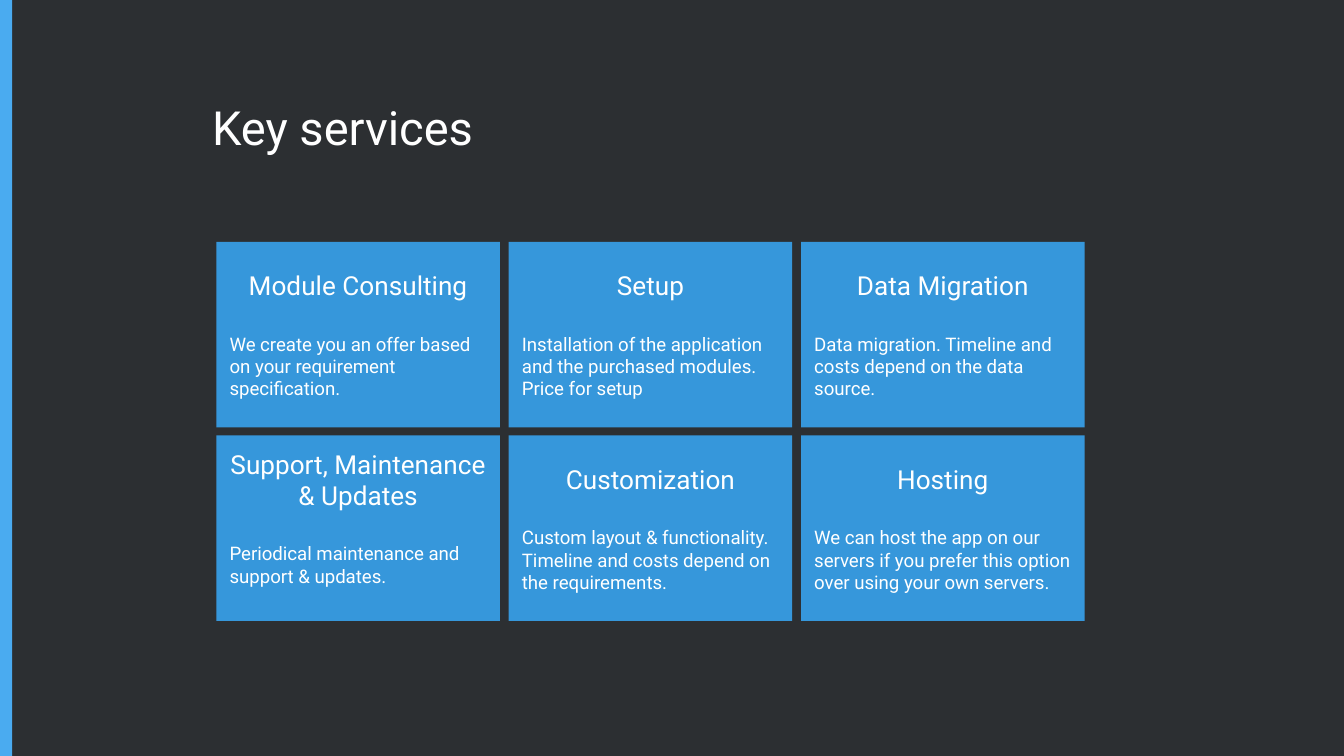
from dataclasses import dataclass

from pptx import Presentation
from pptx.dml.color import RGBColor
from pptx.enum import shapes, text
from pptx.util import Inches, Length, Pt

BACKGROUND = RGBColor(0x2C, 0x2F, 0x32)
ACCENT = RGBColor(0x4A, 0xAB, 0xF0)
CARD = RGBColor(0x36, 0x97, 0xDB)
WHITE = RGBColor(0xFF, 0xFF, 0xFF)
FONT = "Roboto"

SLIDE_WIDTH = Inches(10)
SLIDE_HEIGHT = SLIDE_WIDTH * 9 // 16

COLUMNS = 3
CARD_LEFT, CARD_TOP = Inches(1.61), Inches(1.8)
CARD_WIDTH, CARD_HEIGHT = Inches(2.11), Inches(1.38)
STEP_X = (Inches(5.96) - CARD_LEFT) // (COLUMNS - 1)
STEP_Y = Inches(1.44)
INSET = Inches(0.1)


@dataclass
class Service:
    name: str
    description: str
    bottom_inset: Length = INSET


SERVICES = [
    Service("Module Consulting",
            "We create you an offer based on your requirement specification."),
    Service("Setup",
            "Installation of the application and the purchased modules. Price for setup"),
    Service("Data Migration",
            "Data migration. Timeline and costs depend on the data source."),
    Service("Support, Maintenance & Updates",
            "Periodical maintenance and support & updates.",
            bottom_inset=Inches(0.26)),
    Service("Customization",
            "Custom layout & functionality. Timeline and costs depend on the requirements."),
    Service("Hosting",
            "We can host the app on our servers if you prefer this option "
            "over using your own servers."),
]


def write(p, content: str, *, size: float, align=text.PP_ALIGN.LEFT,
          space_after: float = 0) -> None:
    p.alignment = align
    p.space_after = Pt(space_after)
    r = p.add_run()
    r.text = content
    r.font.name = FONT
    r.font.size = Pt(size)
    r.font.color.rgb = WHITE


def prepare_frame(tf, bottom: Length = INSET) -> None:
    """Turn wrapping on, centre the text vertically and set the insets."""
    tf.word_wrap = True
    tf.auto_size = text.MSO_AUTO_SIZE.NONE
    tf.vertical_anchor = text.MSO_ANCHOR.MIDDLE
    tf.margin_left = tf.margin_right = tf.margin_top = INSET
    tf.margin_bottom = bottom


def add_rectangle(s, left: int, top: int, width: int, height: int, color: RGBColor):
    sp = s.shapes.add_shape(shapes.MSO_SHAPE.RECTANGLE, left, top, width, height)
    sp.shadow.inherit = False
    sp.fill.solid()
    sp.fill.fore_color.rgb = color
    sp.line.fill.background()
    return sp


def add_title(s, content: str) -> None:
    sp = s.shapes.add_textbox(Inches(1.48), Inches(0.63), Inches(7.03), Inches(0.63))
    prepare_frame(sp.text_frame)
    write(sp.text_frame.paragraphs[0], content, size=25.2)


def add_card(s, service: Service, row: int, column: int) -> None:
    sp = add_rectangle(s, CARD_LEFT + column * STEP_X, CARD_TOP + row * STEP_Y,
                       CARD_WIDTH, CARD_HEIGHT, CARD)
    tf = sp.text_frame
    prepare_frame(tf, service.bottom_inset)
    write(tf.paragraphs[0], service.name, size=14,
          align=text.PP_ALIGN.CENTER, space_after=16.8)
    write(tf.add_paragraph(), service.description, size=10)


def main() -> None:
    prs = Presentation()
    prs.slide_width, prs.slide_height = SLIDE_WIDTH, SLIDE_HEIGHT
    s = prs.slides.add_slide(prs.slide_layouts[6])
    s.background.fill.solid()
    s.background.fill.fore_color.rgb = BACKGROUND

    add_rectangle(s, 0, 0, Inches(0.09), SLIDE_HEIGHT, ACCENT)
    add_title(s, "Key services")
    for i, service in enumerate(SERVICES):
        add_card(s, service, *divmod(i, COLUMNS))

    prs.save("out.pptx")


if __name__ == "__main__":
    main()
